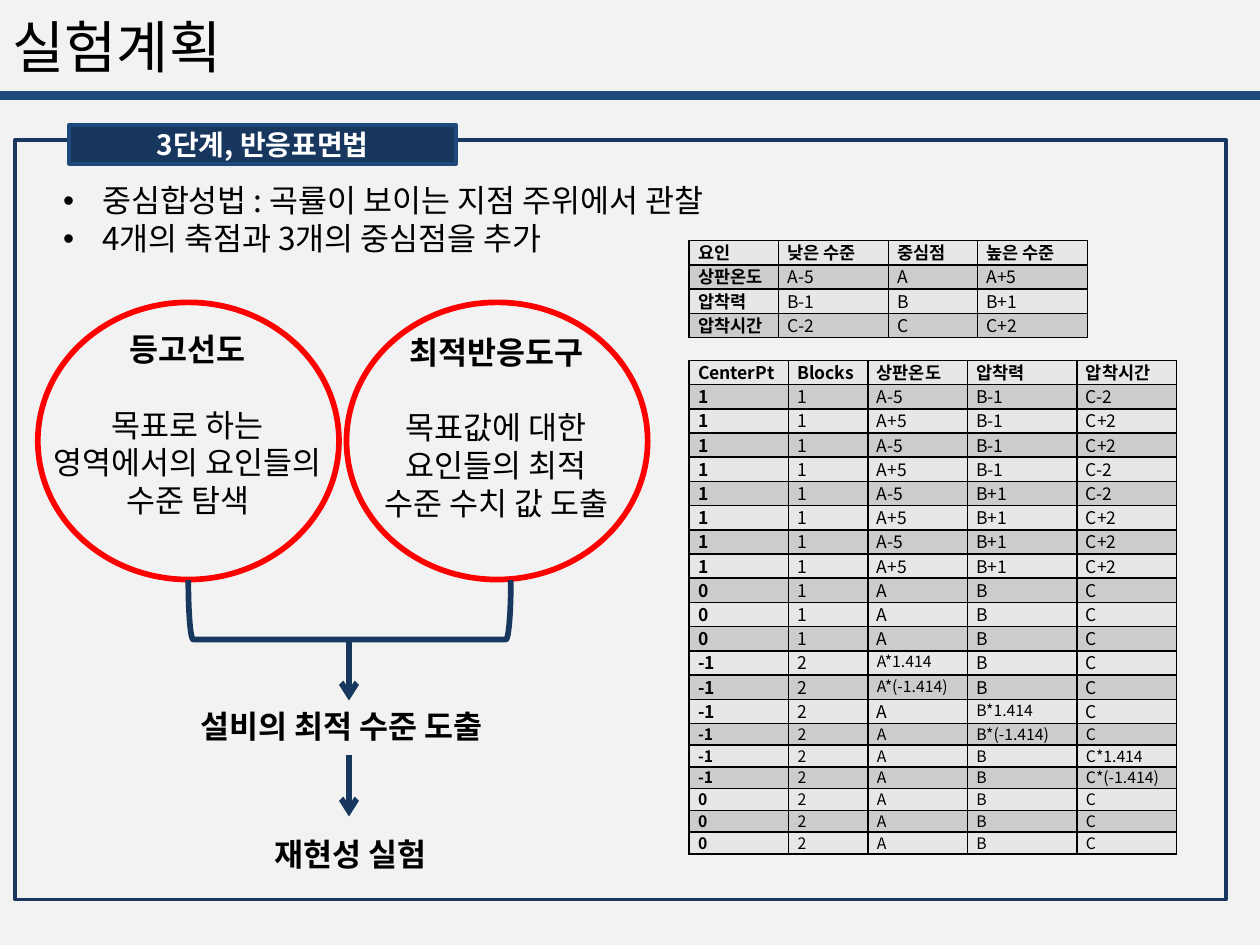
from dataclasses import dataclass

from lxml import etree
from pptx import Presentation
from pptx.dml.color import RGBColor
from pptx.enum.shapes import MSO_CONNECTOR, MSO_SHAPE
from pptx.enum.text import MSO_ANCHOR, MSO_AUTO_SIZE, PP_ALIGN
from pptx.oxml.ns import qn
from pptx.util import Inches, Pt

LEFT, CENTER, JUSTIFY = PP_ALIGN.LEFT, PP_ALIGN.CENTER, PP_ALIGN.JUSTIFY
TOP, MIDDLE = MSO_ANCHOR.TOP, MSO_ANCHOR.MIDDLE
RECT, OVAL, BRACKET = MSO_SHAPE.RECTANGLE, MSO_SHAPE.OVAL, MSO_SHAPE.LEFT_BRACKET


@dataclass(frozen=True)
class Theme:
    font: str = "Noto Sans CJK KR"
    background: str = "F2F2F2"
    navy: str = "17375E"
    blue: str = "1F497D"
    red: str = "FF0000"
    black: str = "000000"
    white: str = "FFFFFF"
    bands: tuple = ("E7E7E7", "CCCCCC")
    title: float = 32.4
    label: float = 16
    body: float = 18
    cell: float = 10
    small_cell: float = 9
    line_factor: float = 1.2
    cell_line_factor: float = 1.38
    thin: float = 2
    thick: float = 3.25
    rule: float = 5.25


T = Theme()

FACTORS = [
    ("요인", "낮은 수준", "중심점", "높은 수준"),
    ("상판온도", "A-5", "A", "A+5"),
    ("압착력", "B-1", "B", "B+1"),
    ("압착시간", "C-2", "C", "C+2"),
]
CENTER_RUN = ("A", "B", "C")
CUBE_RUNS = [
    ("A-5", "B-1", "C-2"), ("A+5", "B-1", "C+2"),
    ("A-5", "B-1", "C+2"), ("A+5", "B-1", "C-2"),
    ("A-5", "B+1", "C-2"), ("A+5", "B+1", "C+2"),
    ("A-5", "B+1", "C+2"), ("A+5", "B+1", "C+2"),
]
CENTER_RUN_COUNT = 3
SMALL_ROW_START = 15


def axial_runs():
    """Each factor in turn moves out to both axial points."""
    return [tuple(name + level if i == axis else name
                  for i, name in enumerate(CENTER_RUN))
            for axis in range(len(CENTER_RUN))
            for level in ("*1.414", "*(-1.414)")]


def design_rows():
    centers = [CENTER_RUN] * CENTER_RUN_COUNT
    blocks = [("1", "1", CUBE_RUNS), ("0", "1", centers),
              ("-1", "2", axial_runs()), ("0", "2", centers)]
    header = ("CenterPt", "Blocks", "상판온도", "압착력", "압착시간")
    return [header] + [(point, block, *run)
                       for point, block, runs in blocks for run in runs]


def rgb(color):
    return RGBColor.from_string(color)


def box(left, top, width, height):
    return [Inches(v) for v in (left, top, width, height)]


def place(sp, bounds):
    for name, value in zip(("left", "top", "width", "height"), box(*bounds)):
        setattr(sp, name, value)


def write(p, text, size, color=T.black, bold=False, align=LEFT,
          factor=T.line_factor, before=0):
    spacing = {"alignment": align, "line_spacing": Pt(round(size * factor, 1)),
               "space_before": Pt(before), "space_after": Pt(0)}
    for name, value in spacing.items():
        setattr(p, name, value)
    r = p.add_run()
    r.text = text
    for name, value in {"name": T.font, "size": Pt(size), "bold": bold}.items():
        setattr(r.font, name, value)
    r.font.color.rgb = rgb(color)
    ea = etree.SubElement(r.font._element, qn("a:ea"))
    ea.set("typeface", T.font)


def set_frame(tf, anchor=TOP):
    options = {"word_wrap": True, "auto_size": MSO_AUTO_SIZE.NONE,
               "vertical_anchor": anchor}
    for name, value in options.items():
        setattr(tf, name, value)


def add_title(s, text):
    sp = s.shapes.title
    place(sp, (0, 0, 9, 0.72))
    set_frame(sp.text_frame, MIDDLE)
    write(sp.text_frame.paragraphs[0], text, T.title)


def add_bullets(s, lines):
    sp = s.placeholders[1]
    place(sp, (0.4, 1.39, 9.45, 1.04))
    tf = sp.text_frame
    set_frame(tf)
    for i, line in enumerate(lines):
        p = tf.add_paragraph() if i else tf.paragraphs[0]
        write(p, line, T.body)
        indent = Inches(0.31)
        p._p.get_or_add_pPr().set("marL", str(indent))
        p._p.get_or_add_pPr().set("indent", str(-indent))


def add_text(s, bounds, heading, detail=None, align=CENTER):
    tf = s.shapes.add_textbox(*box(*bounds)).text_frame
    set_frame(tf)
    write(tf.paragraphs[0], heading, T.body, bold=True, align=align)
    if detail:
        write(tf.add_paragraph(), detail, T.body, align=align,
              before=T.body * T.line_factor)


def add_shape(s, kind, bounds, line, width, fill=None):
    sp = s.shapes.add_shape(kind, *box(*bounds))
    sp.shadow.inherit = False
    if fill:
        sp.fill.solid()
        sp.fill.fore_color.rgb = rgb(fill)
    else:
        sp.fill.background()
    sp.line.color.rgb = rgb(line)
    sp.line.width = Pt(width)
    return sp


def add_line(s, start, end, color, width, arrow=False):
    cx = s.shapes.add_connector(MSO_CONNECTOR.STRAIGHT, *box(*start, *end))
    cx.line.color.rgb = rgb(color)
    cx.line.width = Pt(width)
    if arrow:
        etree.SubElement(cx.line._get_or_add_ln(), qn("a:tailEnd"), type="arrow")
    etree.SubElement(cx._element.spPr, qn("a:effectLst"))


def add_borders(cell):
    """Put the four border lines ahead of the cell's fill."""
    tc_pr = cell._tc.get_or_add_tcPr()
    for i, side in enumerate(("lnL", "lnR", "lnT", "lnB")):
        ln = etree.Element(qn(f"a:{side}"), w=str(Pt(1)))
        fill = etree.SubElement(ln, qn("a:solidFill"))
        etree.SubElement(fill, qn("a:srgbClr"), val=T.black)
        tc_pr.insert(i, ln)


def add_table(s, left, top, widths, rows):
    heights = [0.17 if i >= SMALL_ROW_START else 0.19 for i in range(len(rows))]
    table = s.shapes.add_table(len(rows), len(widths), *box(
        left, top, sum(widths), sum(heights))).table
    for col, width in zip(table.columns, widths):
        col.width = Inches(width)
    for i, values in enumerate(rows):
        table.rows[i].height = Inches(heights[i])
        for j, text in enumerate(values):
            cell = table.cell(i, j)
            cell.margin_left = cell.margin_right = Inches(0.07)
            cell.margin_top = cell.margin_bottom = 0
            cell.fill.solid()
            cell.fill.fore_color.rgb = rgb(T.bands[i % 2])
            add_borders(cell)
            small = i >= SMALL_ROW_START or "*" in text
            write(cell.text_frame.paragraphs[0], text,
                  T.small_cell if small else T.cell, bold=i == 0 or j == 0,
                  align=JUSTIFY, factor=T.cell_line_factor)


def main():
    prs = Presentation()
    prs.slide_width, prs.slide_height = Inches(10), Inches(7.5)
    s = prs.slides.add_slide(prs.slide_layouts[1])
    s.background.fill.solid()
    s.background.fill.fore_color.rgb = rgb(T.background)

    add_title(s, "실험계획")
    add_bullets(s, ["중심합성법 : 곡률이 보이는 지점 주위에서 관찰",
                    "4개의 축점과 3개의 중심점을 추가"])
    add_shape(s, RECT, (0.12, 1.11, 9.61, 6.03), T.navy, T.thin)
    add_line(s, (0, 0.76), (10, 0.76), T.blue, T.rule)
    label = add_shape(s, RECT, (0.55, 0.99, 3.07, 0.31), T.blue, T.thin, T.navy)
    set_frame(label.text_frame, MIDDLE)
    write(label.text_frame.paragraphs[0], "3단계, 반응표면법", T.label,
          T.white, bold=True, align=CENTER)

    add_table(s, 5.47, 1.91, (0.71, 0.87, 0.71, 0.87), FACTORS)
    add_table(s, 5.47, 2.86, (0.79, 0.63, 0.79, 0.87, 0.79), design_rows())

    add_text(s, (0.27, 2.57, 2.44, 1.62), "등고선도",
             "목표로 하는 영역에서의 요인들의 수준 탐색")
    add_text(s, (2.9, 2.59, 2.08, 2.22), "최적반응도구",
             "목표값에 대한 요인들의 최적 수준 수치 값 도출")
    for left in (0.3, 2.75):
        add_shape(s, OVAL, (left, 2.4, 2.39, 2.2), T.red, T.thick)
    bracket = add_shape(s, BRACKET, (2.54, 3.56, 0.47, 2.56), T.navy, T.thick)
    bracket.rotation = 270
    for top in (5.07, 5.99):
        add_line(s, (2.77, top), (2.77, top + 0.49), T.navy, T.thick, arrow=True)
    add_text(s, (1.49, 5.56, 2.72, 0.4), "설비의 최적 수준 도출", align=LEFT)
    add_text(s, (1.42, 6.58, 2.72, 0.4), "재현성 실험")
    prs.save("out.pptx")


if __name__ == "__main__":
    main()
